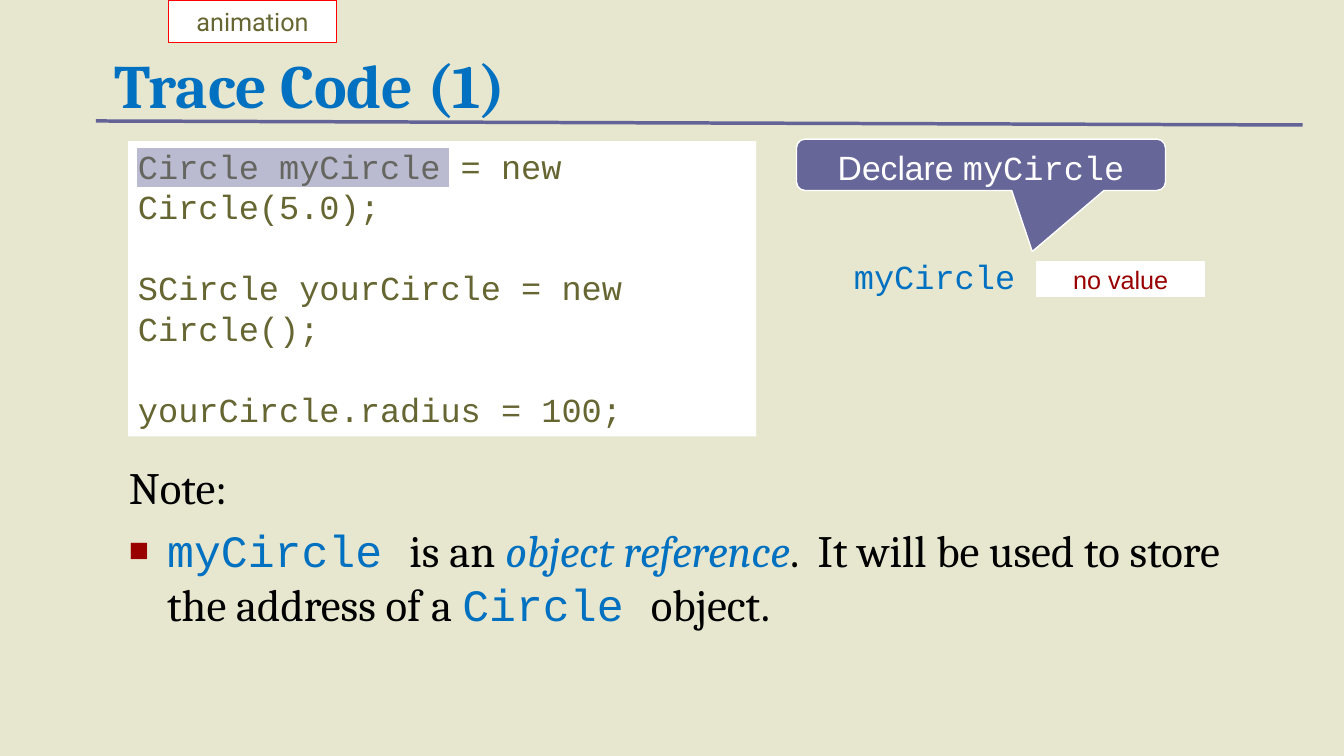
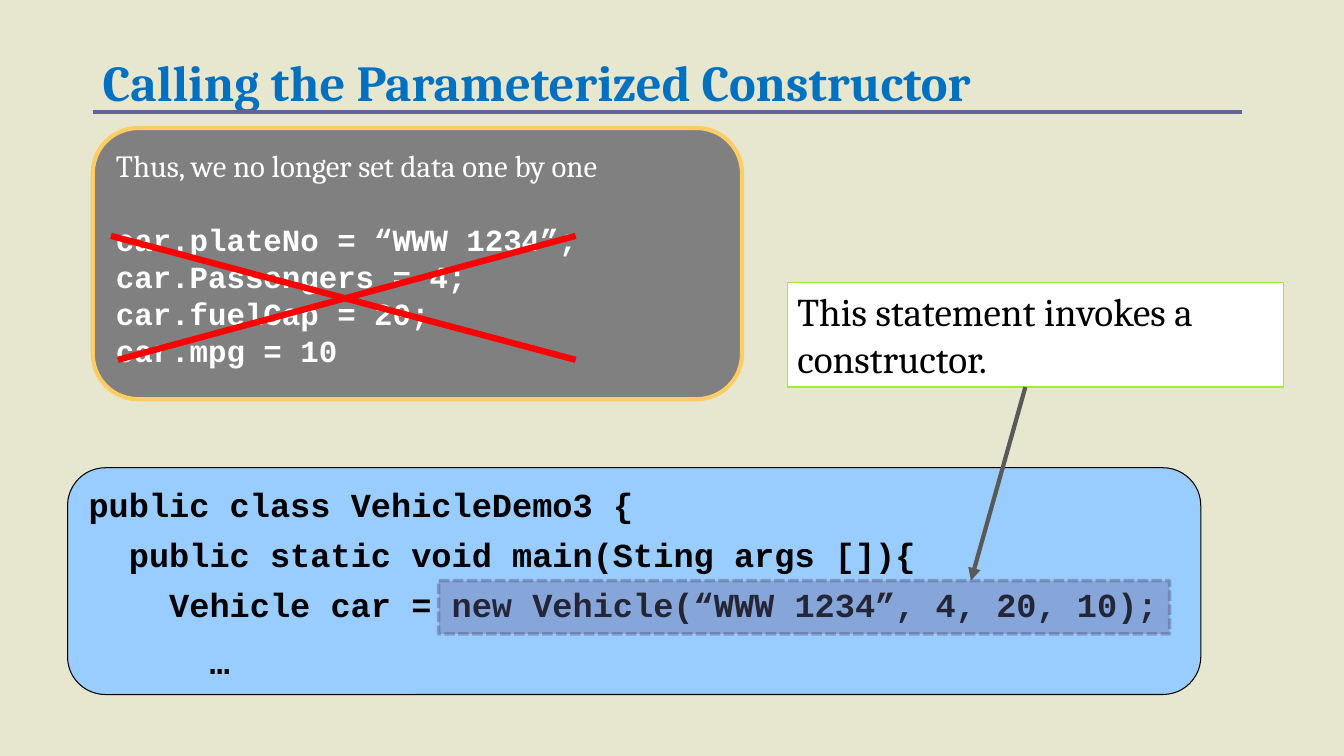
from lxml import etree
from pptx import Presentation
from pptx.dml.color import RGBColor
from pptx.enum.dml import MSO_LINE
from pptx.enum.shapes import MSO_CONNECTOR, MSO_SHAPE
from pptx.enum.text import MSO_ANCHOR, PP_ALIGN
from pptx.oxml.ns import qn
from pptx.util import Inches, Pt

RECT = MSO_SHAPE.RECTANGLE
ROUND = MSO_SHAPE.ROUNDED_RECTANGLE
CALLOUT = MSO_SHAPE.ROUNDED_RECTANGULAR_CALLOUT
STRAIGHT = MSO_CONNECTOR.STRAIGHT
DASH = MSO_LINE.SQUARE_DOT
TOP, MIDDLE, BOTTOM = MSO_ANCHOR.TOP, MSO_ANCHOR.MIDDLE, MSO_ANCHOR.BOTTOM
LEFT, CENTER = PP_ALIGN.LEFT, PP_ALIGN.CENTER

COLORS = {
    "paper": "E7E7CF", "white": "FFFFFF", "black": "000000", "blue": "0070C0",
    "olive": "666633", "violet": "666699", "rule": "636397", "dark": "4B4B71",
    "maroon": "990000", "red": "FF0000", "sky": "99CCFF", "lime": "9DED33",
    "gray": "808080", "slate": "595959", "gold": "FFCC66",
}
SERIF, MONO, SANS = "Cambria", "Courier New", "Arial"


def style(name, size, color, **more):
    return {"name": name, "size": Pt(size), "color": color, **more}


CODE = style(MONO, 24, "olive")
LABEL = style(MONO, 24, "blue")
TAG = style("Roboto", 18, "olive")
VALUE = style(SANS, 18, "maroon")
CALL = style(SANS, 24, "white")
BODY = style(SERIF, 32, "black")
TERM = style(SERIF, 32, "blue", italic=True)
NAME = style(MONO, 32, "blue")
MAIN = style(MONO, 24, "black", bold=True)
NOTE = style(SERIF, 28, "black")
LEAD = style(SERIF, 22, "white")
OLD = style(MONO, 22, "white", bold=True)


def rgb(key):
    return RGBColor.from_string(COLORS[key])


def para(*runs, **form):
    """Pair (text, style) runs with paragraph format values."""
    return runs, form


def fade(node, percent):
    """Give every colour below the node an opacity."""
    for clr in node.iter(qn("a:srgbClr")):
        etree.SubElement(clr, qn("a:alpha"), val=str(percent * 1000))


class Deck:
    def __init__(self):
        self.prs = Presentation()
        self.prs.slide_width = Inches(13.33)
        self.prs.slide_height = Inches(7.5)
        self.slide = None

    def page(self, title, size, box, start, end):
        """Add a slide with its title and the rule below it."""
        self.slide = self.prs.slides.add_slide(self.prs.slide_layouts[6])
        fill = self.slide.background.fill
        fill.solid()
        fill.fore_color.rgb = rgb("paper")
        head = style(SERIF, size, "blue", bold=True)
        self.text(box, [para((title, head), line_spacing=0.8)], anchor=BOTTOM)
        self.line(start, end, "rule", 2.5)

    def words(self, shape, paras, anchor=TOP, align=LEFT, inset=None):
        """Set the paragraphs of a shape."""
        frame = shape.text_frame
        frame.word_wrap = True
        frame.vertical_anchor = anchor
        if inset is not None:
            for side in ("left", "right", "top", "bottom"):
                setattr(frame, "margin_" + side, Inches(inset))
        for i, (runs, form) in enumerate(paras):
            p = frame.add_paragraph() if i else frame.paragraphs[0]
            p.alignment = align
            form = dict(form)
            indent = form.pop("indent", 0)
            hang = form.pop("hang", 0)
            bullet = form.pop("bullet", None)
            for key, value in form.items():
                setattr(p, key, value)
            if indent or hang:
                props = p._p.get_or_add_pPr()
                props.set("marL", str(Inches(indent)))
                props.set("indent", str(Inches(-hang)))
            if bullet:
                self.bullet(p, bullet)
            for part, look in runs:
                run = p.add_run()
                run.text = part
                for key, value in look.items():
                    if key == "color":
                        run.font.color.rgb = rgb(value)
                    else:
                        setattr(run.font, key, value)

    def bullet(self, p, sign):
        props = p._p.get_or_add_pPr()
        clr = etree.SubElement(props, qn("a:buClr"))
        etree.SubElement(clr, qn("a:srgbClr"), val=COLORS["maroon"])
        etree.SubElement(props, qn("a:buSzPct"), val="75000")
        etree.SubElement(props, qn("a:buFont"), typeface=SANS)
        etree.SubElement(props, qn("a:buChar"), char=sign)

    def text(self, box, paras, **form):
        shape = self.slide.shapes.add_textbox(*map(Inches, box))
        self.words(shape, paras, **form)

    def shape(self, box, fill, edge=None, width=1, kind=RECT, adjust=(),
              paras=(), **form):
        shape = self.slide.shapes.add_shape(kind, *map(Inches, box))
        shape.shadow.inherit = False
        for i, value in enumerate(adjust):
            shape.adjustments[i] = value
        shape.fill.solid()
        shape.fill.fore_color.rgb = rgb(fill)
        if edge:
            shape.line.color.rgb = rgb(edge)
            shape.line.width = Pt(width)
        else:
            shape.line.fill.background()
        if paras:
            self.words(shape, paras, **form)
        return shape

    def veil(self, box, clear, edge, width, dash=None, faint=None):
        """Lay a see-through highlight over the code."""
        shape = self.shape(box, "violet", edge, width)
        props = shape.element.spPr
        fade(props.find(qn("a:solidFill")), clear)
        if dash:
            shape.line.dash_style = dash
        if faint:
            fade(props.find(qn("a:ln")), faint)

    def line(self, start, end, color, width, arrow=False):
        ends = map(Inches, (*start, *end))
        line = self.slide.shapes.add_connector(STRAIGHT, *ends)
        line.line.color.rgb = rgb(color)
        line.line.width = Pt(width)
        props = line.element.spPr
        if arrow:
            etree.SubElement(props.find(qn("a:ln")), qn("a:tailEnd"),
                             type="triangle")
        etree.SubElement(props, qn("a:effectLst"))


def trace(deck):
    deck.page("Trace Code (1)", 44, (1.04, 0.57, 11.17, 0.67),
              (0.95, 1.2), (12.92, 1.24))
    code = ("Circle myCircle = new Circle(5.0);",
            "SCircle yourCircle = new Circle();",
            "yourCircle.radius = 100;")
    deck.shape((1.27, 1.4, 6.23, 2.93), "white", paras=[
        para((row, CODE), space_before=Pt(29 if i else 0))
        for i, row in enumerate(code)])
    deck.veil((1.35, 1.46, 3.11, 0.4), 45, "white", 1)
    deck.shape((7.9, 1.38, 3.66, 0.51), "violet", "white", kind=CALLOUT,
               adjust=(0.139, 1.688, 0.167), align=CENTER,
               paras=[para(("Declare ", CALL),
                           ("myCircle", {**CALL, "name": MONO}))])
    deck.shape((10.28, 2.6, 1.67, 0.34), "white", "white", anchor=MIDDLE,
               align=CENTER, inset=0.01, paras=[para(("no value", VALUE))])
    deck.text((8.37, 2.49, 2.19, 0.5), [para(("myCircle", LABEL))])
    deck.shape((1.67, 0, 1.67, 0.42), "white", "red", anchor=MIDDLE,
               align=CENTER, paras=[para(("animation", TAG))])
    deck.text((1.18, 4.51, 11.17, 2.16), [
        para(("Note:", BODY)),
        para(("myCircle ", NAME), ("is an ", BODY),
             ("object reference", TERM),
             (".  It will be used to store the address of a ", BODY),
             ("Circle ", NAME), ("object.", BODY),
             space_before=Pt(7), indent=0.38, hang=0.38, bullet="■")])


def build(deck):
    deck.page("Calling the Parameterized Constructor", 36,
              (0.92, 0.47, 9.25, 0.68), (0.92, 1.11), (12.32, 1.11))
    rows = (("public class VehicleDemo3 {", 7),
            ("public static void main(Sting args []){", 7),
            ("Vehicle car = new Vehicle(“WWW 1234”, 4, 20, 10);", 12),
            ("…", 7))
    deck.shape((0.67, 4.64, 11.24, 2.25), "sky", "black", 0.75, ROUND,
               (0.167,), [para((row, MAIN), indent=0.4 * i, space_after=Pt(gap))
                          for i, (row, gap) in enumerate(rows)])
    deck.shape((7.81, 2.8, 4.92, 1.04), "white", "lime", 0.75, paras=[
        para(("This statement invokes a constructor.", NOTE))])
    deck.line((10.17, 3.84), (9.63, 5.76), "slate", 3, arrow=True)
    old = ("car.plateNo = “WWW 1234”;", "car.Passengers = 4;",
           "car.fuelCap = 20;", "car.mpg = 10")
    deck.shape((0.92, 1.27, 6.44, 2.69), "gray", "gold", 3, ROUND, (0.167,), [
        para(("Thus, we no longer set data one by one", LEAD),
             space_after=Pt(27)),
        *(para((row, OLD)) for row in old)])
    for start, end in (((5.71, 2.34), (1.17, 3.57)),
                       ((1.1, 2.34), (5.71, 3.57))):
        deck.line(start, end, "red", 4.5)
    deck.veil((4.35, 5.76, 7.25, 0.53), 37, "dark", 2.5, DASH, 36)


def main():
    deck = Deck()
    trace(deck)
    build(deck)
    deck.prs.save("out.pptx")


if __name__ == "__main__":
    main()
